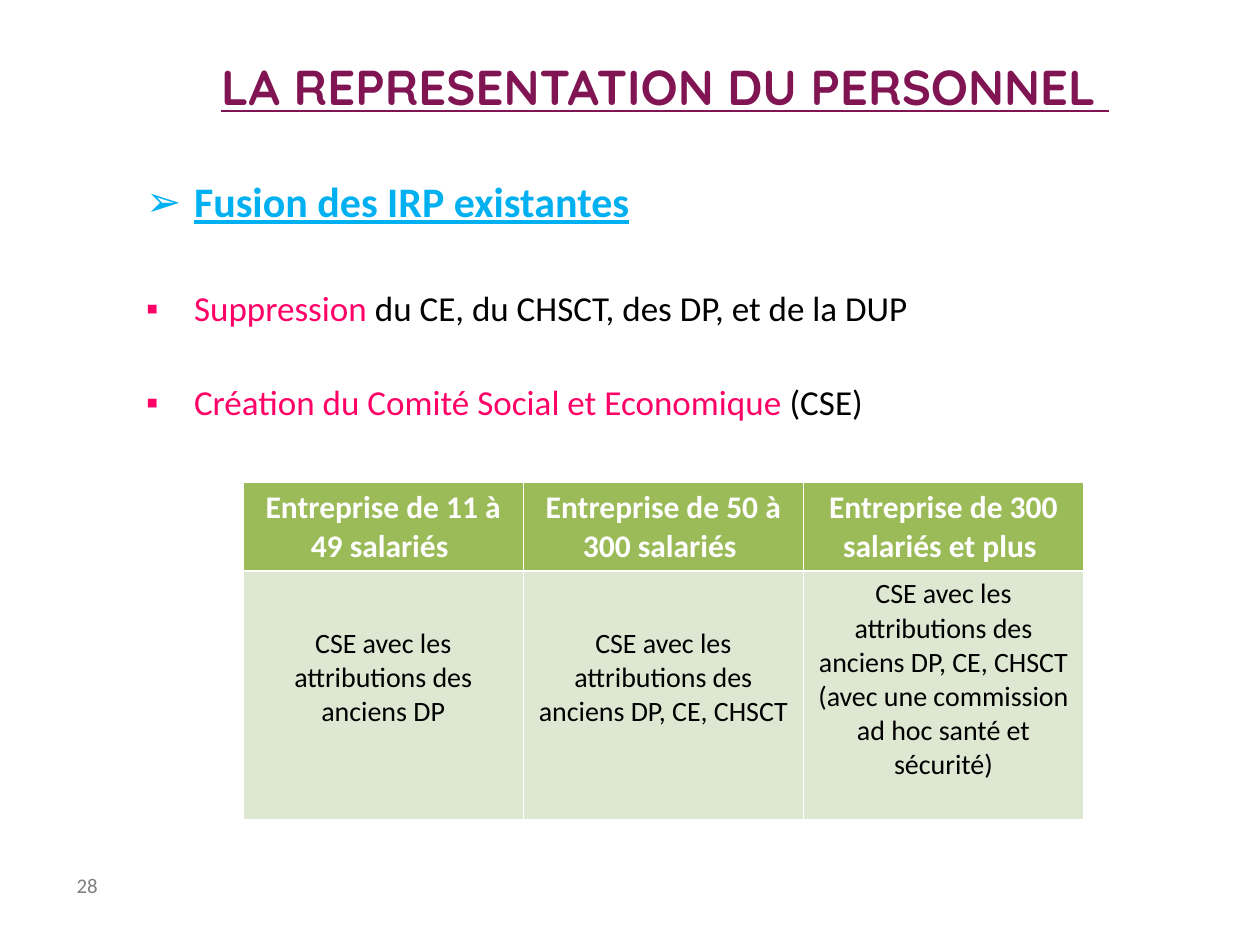
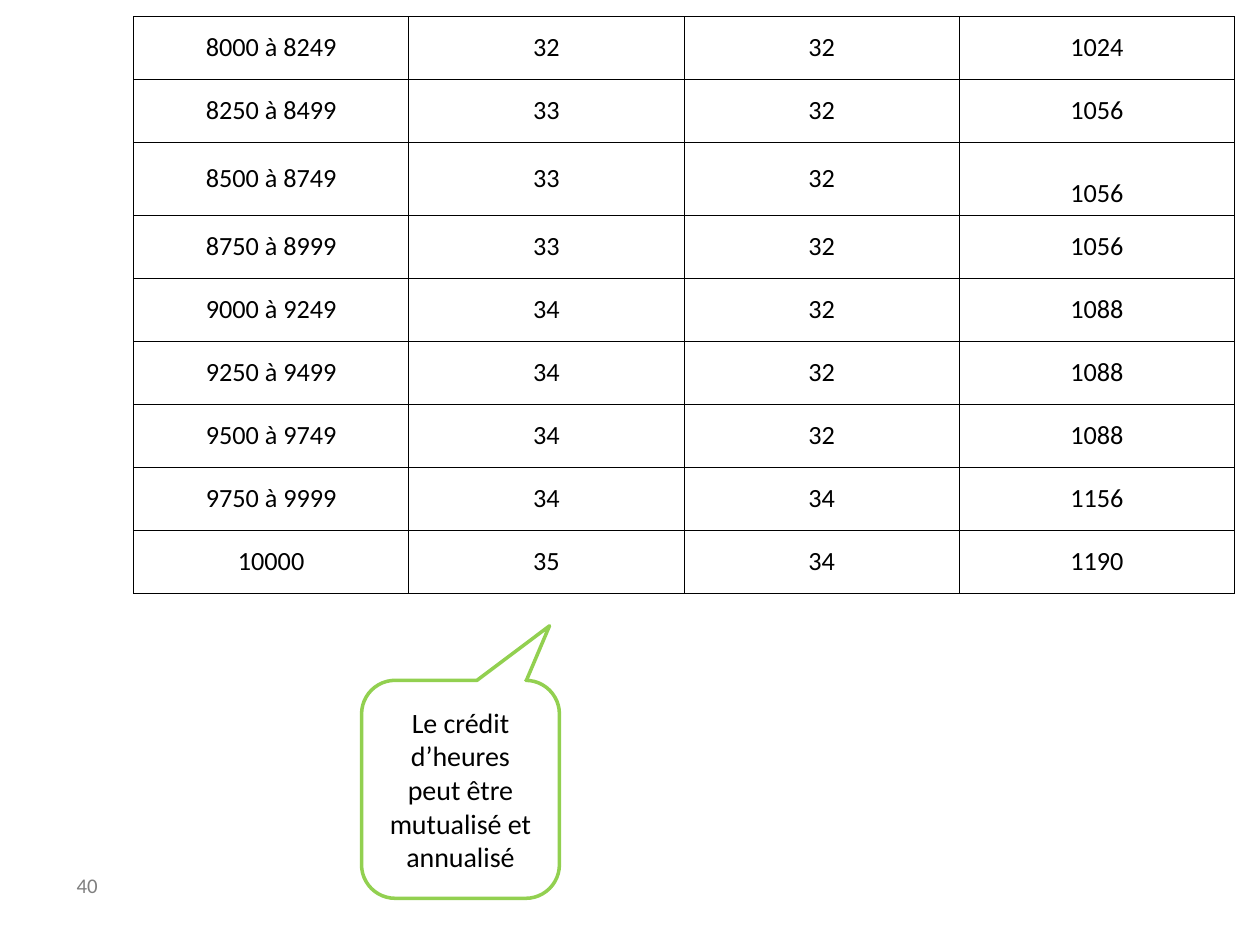
from lxml import etree
from pptx import Presentation
from pptx.dml.color import RGBColor
from pptx.enum import shapes, text
from pptx.oxml import ns
from pptx.util import Inches, Pt

rgb = RGBColor.from_string
CENTER, MIDDLE = text.PP_ALIGN.CENTER, text.MSO_ANCHOR.MIDDLE
PLUM, BLUE, PINK, GREY = "811453", "00B0F0", "FF0066", "7F7F7F"
GREEN, PALE_GREEN, LIME = "9BBB59", "DEE7D1", "92D050"
BLACK, WHITE = "000000", "FFFFFF"


def add_run(p, words, size, color, bold=False, underline=False, font="Calibri"):
    r = p.add_run()
    r.text = words
    r.font.name, r.font.size = font, Pt(size)
    r.font.bold, r.font.underline = bold, underline
    r.font.color.rgb = rgb(color)


def set_cell(cell, words, size, color, fill, line, widths, bold=False):
    """Fill one cell; widths are the left, right, top and bottom borders."""
    p = cell.text_frame.paragraphs[0]
    p.alignment = CENTER
    add_run(p, words, size, color, bold)
    cell.fill.solid()
    cell.fill.fore_color.rgb = rgb(fill)
    tc_pr = cell._tc.get_or_add_tcPr()
    for i, (side, width) in enumerate(zip("LRTB", widths)):
        ln = etree.Element(ns.qn("a:ln" + side), w=str(Pt(width)))
        solid = etree.SubElement(ln, ns.qn("a:solidFill"))
        etree.SubElement(solid, ns.qn("a:srgbClr"), val=line)
        tc_pr.insert(i, ln)


prs = Presentation()
prs.slide_width, prs.slide_height = Inches(10), Inches(7.5)

# Both slides, with their page numbers
s1 = prs.slides.add_slide(prs.slide_layouts[1])
s2 = prs.slides.add_slide(prs.slide_layouts[6])
for s, number in ((s1, "28"), (s2, "40")):
    sp = s.shapes.add_textbox(Inches(0.51), Inches(6.9), Inches(1.23), Inches(0.32))
    sp.text_frame.word_wrap = True
    p = sp.text_frame.paragraphs[0]
    p.line_spacing = 0.9
    add_run(p, number, 11.9, GREY)

# Slide 1: title
title, body = s1.shapes.title, s1.placeholders[1]
for sp, top, height in ((title, 0.3, 0.77), (body, 1.39, 2.44)):
    sp.left, sp.top = Inches(1.06), Inches(top)
    sp.width, sp.height = Inches(8.44), Inches(height)
    sp.text_frame.auto_size = text.MSO_AUTO_SIZE.NONE
title.text_frame.vertical_anchor = MIDDLE
p = title.text_frame.paragraphs[0]
p.alignment = CENTER
add_run(p, "LA REPRESENTATION DU PERSONNEL ", 28, PLUM, True, True, "Quicksand")

# Slide 1: bullet list (bullet, bullet colour, space before, runs)
points = [
    ("➢", BLUE, 0, [("Fusion des IRP existantes", 24, BLUE, True, True)]),
    ("▪", PINK, 37, [("Suppression ", 20, PINK),
                     ("du CE, du CHSCT, des DP, et de la DUP", 20, BLACK)]),
    ("▪", PINK, 32, [("Création du Comité Social et Economique ", 20, PINK),
                     ("(CSE)", 20, BLACK)]),
]
tf = body.text_frame
for i, (bullet, color, before, runs) in enumerate(points):
    p = tf.add_paragraph() if i else tf.paragraphs[0]
    p_pr = p._p.get_or_add_pPr()
    p_pr.set("marL", str(Inches(0.38)))
    p_pr.set("indent", str(-Inches(0.38)))
    bu_clr = etree.SubElement(p_pr, ns.qn("a:buClr"))
    etree.SubElement(bu_clr, ns.qn("a:srgbClr"), val=color)
    etree.SubElement(p_pr, ns.qn("a:buFont"), typeface="Arial")
    etree.SubElement(p_pr, ns.qn("a:buChar"), char=bullet)
    p.alignment = text.PP_ALIGN.JUSTIFY
    p.line_spacing, p.space_before = 0.9, Pt(before)
    for run in runs:
        add_run(p, *run)

# Slide 1: CSE powers by company size
sizes = [
    ("Entreprise de 11 à 49 salariés ", "CSE avec les attributions des anciens DP"),
    ("Entreprise de 50 à 300 salariés ",
     "CSE avec les attributions des anciens DP, CE, CHSCT"),
    ("Entreprise de 300 salariés et plus ",
     "CSE avec les attributions des anciens DP, CE, CHSCT "
     "(avec une commission ad hoc santé et sécurité)"),
]
table = s1.shapes.add_table(2, 3, Inches(1.93), Inches(3.83),
                            Inches(6.67), Inches(2.67)).table
table.horz_banding = False
table.rows[0].height, table.rows[1].height = Inches(0.7), Inches(1.97)
for col, (company, powers) in enumerate(sizes):
    set_cell(table.cell(0, col), company, 18, WHITE, GREEN, WHITE,
             (0.45, 0.45, 0.45, 1.47), bold=True)
    cell = table.cell(1, col)
    set_cell(cell, powers, 16, BLACK, PALE_GREEN, WHITE, (0.45, 0.45, 1.47, 0.45))
    cell.vertical_anchor = MIDDLE
    cell.margin_bottom = Inches(0.32)

# Slide 2: headcount, seats, hours each, total hours
hours = [
    ("8000 à 8249", 32, 32, 1024),
    ("8250 à 8499", 33, 32, 1056),
    ("8500 à 8749", 33, 32, 1056),
    ("8750 à 8999", 33, 32, 1056),
    ("9000 à 9249", 34, 32, 1088),
    ("9250 à 9499", 34, 32, 1088),
    ("9500 à 9749", 34, 32, 1088),
    ("9750 à 9999", 34, 34, 1156),
    ("10000", 35, 34, 1190),
]
table = s2.shapes.add_table(len(hours), 4, Inches(1.06), Inches(0.13),
                            Inches(8.74), Inches(4.57)).table
table.first_row = table.horz_banding = False
for row, values in enumerate(hours):
    table.rows[row].height = Inches(0.58 if row == 2 else 0.5)
    for col, value in enumerate(values):
        cell = table.cell(row, col)
        set_cell(cell, str(value), 15, BLACK, WHITE, BLACK, [0.45] * 4)
        cell.vertical_anchor = MIDDLE
        cell.margin_left = cell.margin_right = Inches(0.08)
table.cell(2, 3).margin_top = Inches(0.28)  # this total sits low in its row

# Slide 2: callout
sp = s2.shapes.add_shape(shapes.MSO_SHAPE.ROUNDED_RECTANGULAR_CALLOUT,
                         Inches(2.87), Inches(5.4), Inches(1.57), Inches(1.73))
for i, value in enumerate((0.45, -0.75, 0.17)):
    sp.adjustments[i] = value
sp.shadow.inherit = False
sp.fill.solid()
sp.fill.fore_color.rgb = rgb(WHITE)
sp.line.color.rgb = rgb(LIME)
sp.line.width = Pt(2)
tf = sp.text_frame
tf.word_wrap, tf.vertical_anchor = True, MIDDLE
p = tf.paragraphs[0]
p.alignment = CENTER
add_run(p, "Le crédit d’heures peut être mutualisé et annualisé", 16, BLACK)

prs.save("out.pptx")
